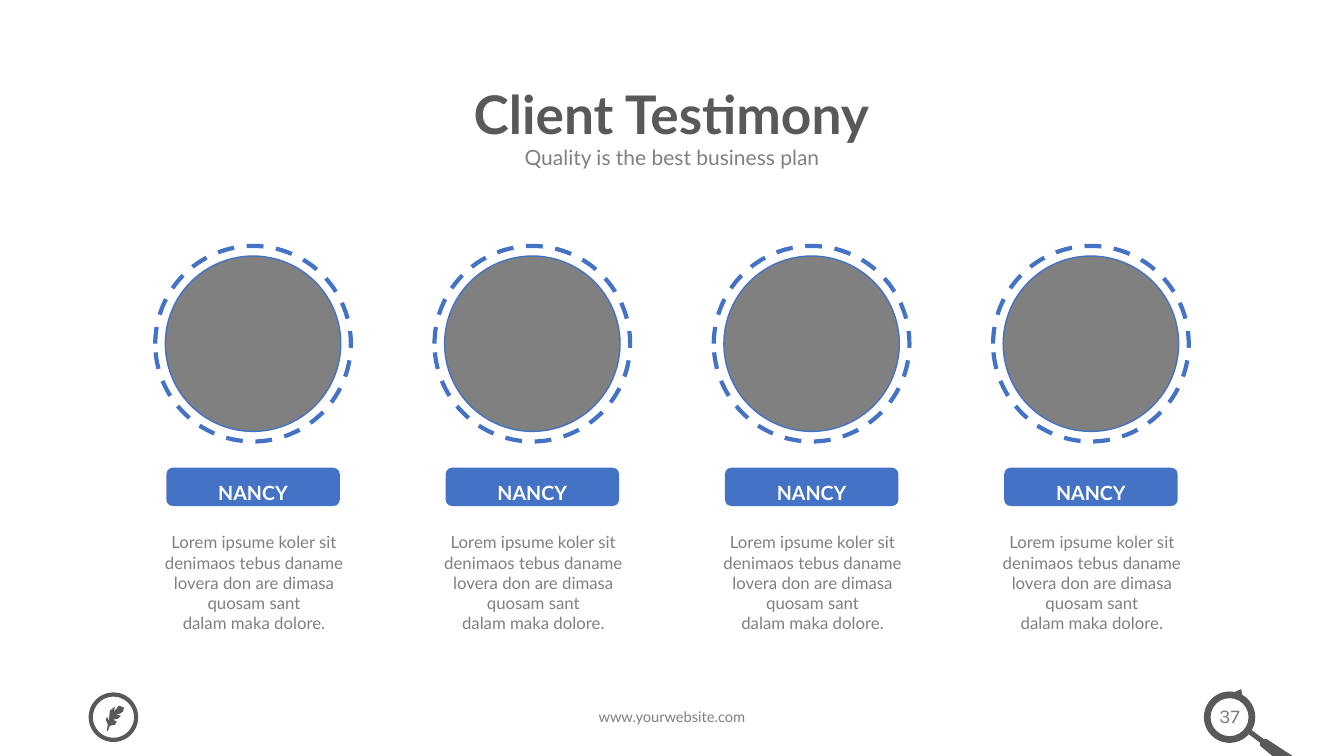
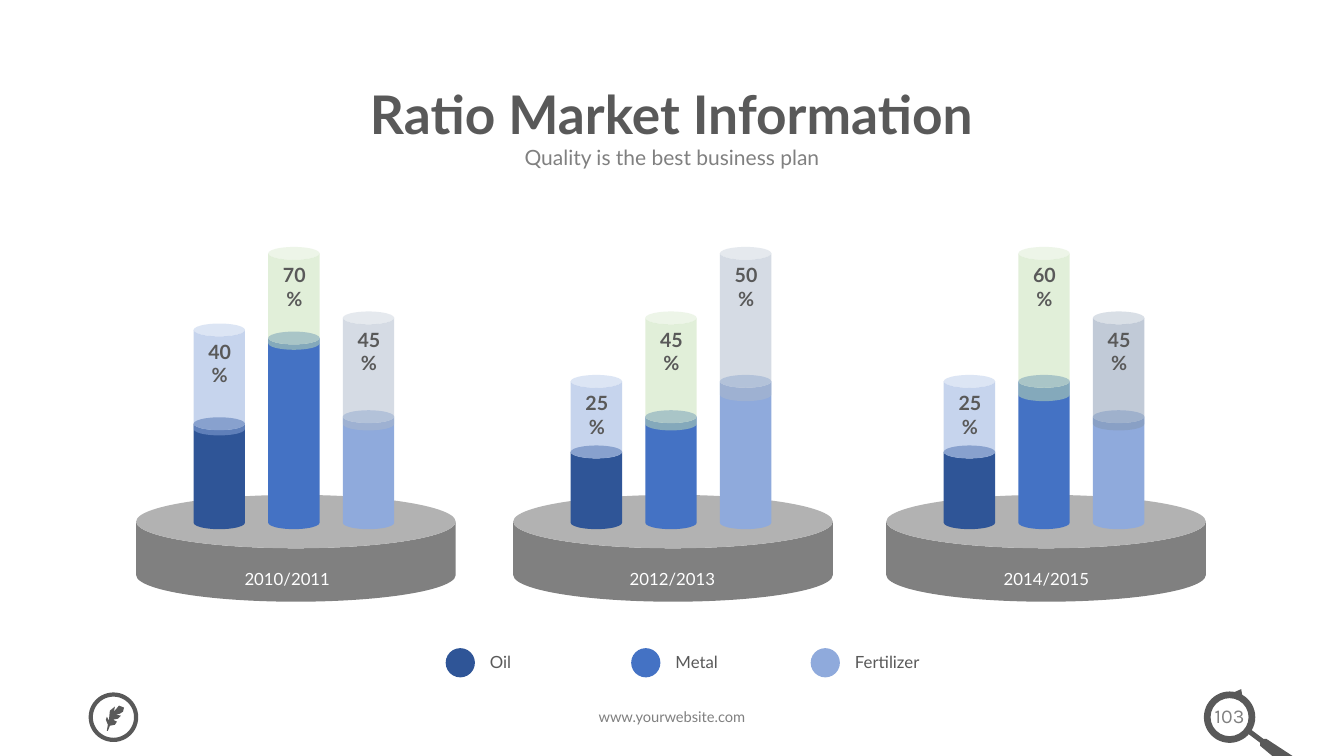
from dataclasses import dataclass

import lxml.etree
import pptx
import pptx.dml.color
import pptx.enum.dml
import pptx.enum.shapes
import pptx.enum.text
import pptx.oxml.ns
import pptx.util

PX = 9144  # EMU in one px, 100 px to the inch
SHAPE = pptx.enum.shapes.MSO_SHAPE
ALIGN = pptx.enum.text.PP_ALIGN
ANCHOR = pptx.enum.text.MSO_ANCHOR


@dataclass(frozen=True)
class Theme:
    font: str = "Lato"
    number_font: str = "Karla"
    dark: str = "595959"
    gray: str = "808080"
    white: str = "FFFFFF"
    navy: str = "2F5597"
    blue: str = "4472C4"
    light_blue: str = "8FAADC"
    green: str = "C5E0B4"
    silver: str = "ADB9CA"
    steel: str = "8497B0"
    title_size: float = 38
    subtitle_size: float = 15
    label_size: float = 14
    body_size: float = 12
    footer_size: float = 10.5


theme = Theme()


def paint(shape, fill=None, line=None, width=1, opacity=100):
    """Set fill and outline; None leaves either of them out."""
    shape.shadow.inherit = False
    if fill:
        shape.fill.solid()
        shape.fill.fore_color.rgb = pptx.dml.color.RGBColor.from_string(fill)
        if opacity < 100:
            color = shape.fill._xPr.find(".//" + pptx.oxml.ns.qn("a:srgbClr"))
            alpha = lxml.etree.SubElement(color, pptx.oxml.ns.qn("a:alpha"))
            alpha.set("val", str(opacity * 1000))
    else:
        shape.fill.background()
    if line:
        shape.line.color.rgb = pptx.dml.color.RGBColor.from_string(line)
        shape.line.width = pptx.util.Pt(width)
    else:
        shape.line.fill.background()
    return shape


def write(shape, text, size, color, bold=False, font=theme.font, align=ALIGN.CENTER,
          anchor=ANCHOR.TOP, spacing=None, insets=(10, 5)):
    """Fill a shape with wrapped text; insets are horizontal and vertical px."""
    frame = shape.text_frame
    frame.word_wrap = True
    frame.vertical_anchor = anchor
    frame.margin_left = frame.margin_right = insets[0] * PX
    frame.margin_top = frame.margin_bottom = insets[1] * PX
    frame.text = text
    for paragraph in frame.paragraphs:
        paragraph.alignment = align
        if spacing:
            paragraph.line_spacing = spacing
        for run in paragraph.runs:
            run.font.name = font
            run.font.size = pptx.util.Pt(size)
            run.font.bold = bold
            run.font.color.rgb = pptx.dml.color.RGBColor.from_string(color)


presentation = pptx.Presentation()
presentation.slide_width = 1333 * PX
presentation.slide_height = 750 * PX

# Title, subtitle and footer of every slide
feather = [(107, 725), (109, 720), (114, 719), (116, 716), (112, 714), (117, 713),
           (120, 710), (115, 709), (119, 708), (122, 706), (123, 702), (118, 700),
           (113, 706), (114, 701), (109, 705), (108, 715), (106, 711), (105, 714),
           (107, 719), (106, 725)]
handle = [(1241, 724), (1253, 733), (1256, 733), (1282, 750), (1262, 750),
          (1250, 740), (1250, 737), (1238, 728)]
slides = []
for title, number in [("Client Testimony", "37"), ("Ratio Market Information", "103")]:
    slide = presentation.slides.add_slide(presentation.slide_layouts[6])
    slides.append(slide)
    shapes = slide.shapes

    box = shapes.add_textbox(166 * PX, 75 * PX, 1000 * PX, 82 * PX)
    write(box, title, theme.title_size, theme.dark, bold=True, anchor=ANCHOR.MIDDLE, spacing=0.9)
    box = shapes.add_textbox(267 * PX, 136 * PX, 799 * PX, 39 * PX)
    write(box, "Quality is the best business plan", theme.subtitle_size, theme.gray, insets=(13, 7))
    box = shapes.add_textbox(425 * PX, 697 * PX, 483 * PX, 29 * PX)
    write(box, "www.yourwebsite.com", theme.footer_size, theme.gray)

    badge = shapes.add_shape(SHAPE.OVAL, 90 * PX, 689 * PX, 45 * PX, 45 * PX)
    paint(badge, line=theme.dark, width=3)
    lens = shapes.add_shape(SHAPE.DONUT, 1194 * PX, 686 * PX, 51 * PX, 51 * PX)
    lens.adjustments[0] = 0.13
    paint(lens, theme.dark)
    tip = shapes.add_shape(SHAPE.RIGHT_ARROW, 1223 * PX, 683 * PX, 11 * PX, 11 * PX)
    tip.adjustments[0], tip.adjustments[1] = 0.32, 0.64
    tip.rotation = 298.7
    paint(tip, theme.dark)
    for outline in (feather, handle):
        builder = shapes.build_freeform(*outline[0], scale=PX)
        builder.add_line_segments(outline[1:], close=True)
        paint(builder.convert_to_shape(), theme.dark)
    box = shapes.add_textbox(1189 * PX, 693 * PX, 61 * PX, 34 * PX)
    write(box, number, theme.label_size, theme.gray, font=theme.number_font)

testimony_slide, ratio_slide = slides

# Client testimony: four equal columns
shapes = testimony_slide.shapes
quote = ("Lorem ipsume koler sit denimaos tebus daname lovera don are dimasa quosam sant\n"
         "dalam maka dolore.")
for column in range(4):
    left = 154 + 277 * column
    portrait = shapes.add_shape(SHAPE.OVAL, (left + 10) * PX, 254 * PX, 174 * PX, 174 * PX)
    paint(portrait, theme.gray, theme.blue)
    ring = shapes.add_shape(SHAPE.OVAL, left * PX, 244 * PX, 194 * PX, 194 * PX)
    paint(ring, line=theme.blue, width=3)
    ring.line.dash_style = pptx.enum.dml.MSO_LINE.DASH
    name_plate = shapes.add_shape(SHAPE.ROUNDED_RECTANGLE, (left + 11) * PX, 464 * PX,
                                  172 * PX, 38 * PX)
    paint(name_plate, theme.blue)
    write(name_plate, "NANCY", theme.label_size, theme.white, bold=True,
          anchor=ANCHOR.MIDDLE, spacing=1.5, insets=(0, 0))
    box = shapes.add_textbox((left - 22) * PX, 523 * PX, 240 * PX, 91 * PX)
    write(box, quote, theme.body_size, theme.gray)

# Ratio market information: three pedestals with three cylinders each
shapes = ratio_slide.shapes
BAR_BOTTOM, BAR_WIDTH, BAR_STEP = 525, 51, 74
# percent: (height of the solid part, top of the clear part, height of the clear part)
bar_sizes = {25: (83, 372, 83), 40: (111, 321, 111), 45: (118, 309, 118),
             50: (153, 245, 153), 60: (153, 245, 153), 70: (196, 245, 102)}
solid_colors = [theme.navy, theme.blue, theme.light_blue]
# period, pedestal left, label left, first bar left, percents, colour of the last clear part
periods = [("2010/2011", 135, 192, 192, (40, 70, 45), theme.silver),
           ("2012/2013", 509, 574, 566, (25, 45, 50), theme.silver),
           ("2014/2015", 879, 945, 936, (25, 60, 45), theme.steel)]
for period, pedestal_left, label_left, bars_left, percents, last_clear in periods:
    pedestal = shapes.add_shape(SHAPE.CAN, pedestal_left * PX, 491 * PX, 317 * PX, 106 * PX)
    pedestal.adjustments[0] = 0.5
    paint(pedestal, theme.gray)
    box = shapes.add_textbox(label_left * PX, 549 * PX, 186 * PX, 40 * PX)
    write(box, period, theme.body_size, theme.white, anchor=ANCHOR.MIDDLE, spacing=1.5)

    clear_colors = [theme.light_blue, theme.green, last_clear]
    for index, percent in enumerate(percents):
        left = bars_left + BAR_STEP * index
        solid_height, clear_top, clear_height = bar_sizes[percent]
        solid = shapes.add_shape(SHAPE.CAN, left * PX, (BAR_BOTTOM - solid_height) * PX,
                                 BAR_WIDTH * PX, solid_height * PX)
        paint(solid, solid_colors[index])
        clear = shapes.add_shape(SHAPE.CAN, left * PX, clear_top * PX,
                                 BAR_WIDTH * PX, clear_height * PX)
        paint(clear, clear_colors[index], opacity=50)
        box = shapes.add_textbox((left + 8) * PX, (clear_top + 12) * PX, 36 * PX, 33 * PX)
        write(box, f"{percent}%", theme.label_size, theme.dark, bold=True, insets=(4, 4))

legend = zip(("Oil", "Metal", "Fertilizer"), (442, 626, 804), solid_colors)
for product, left, color in legend:
    dot = shapes.add_shape(SHAPE.OVAL, left * PX, 643 * PX, 29 * PX, 29 * PX)
    paint(dot, color)
    box = shapes.add_textbox((left + 44) * PX, 647 * PX, 173 * PX, 20 * PX)
    write(box, product, theme.body_size, theme.dark, align=ALIGN.LEFT, insets=(0, 0))

presentation.save("out.pptx")
